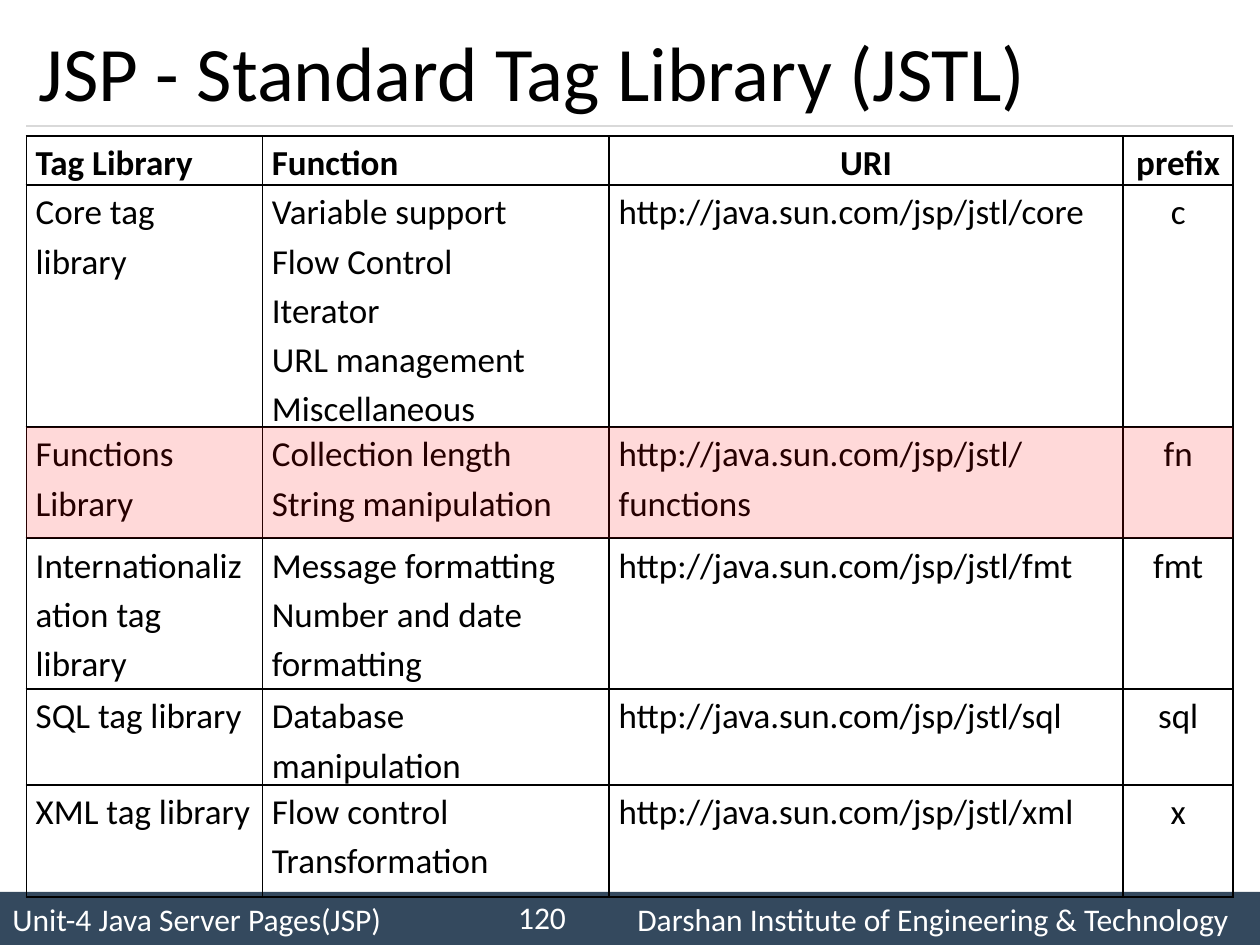
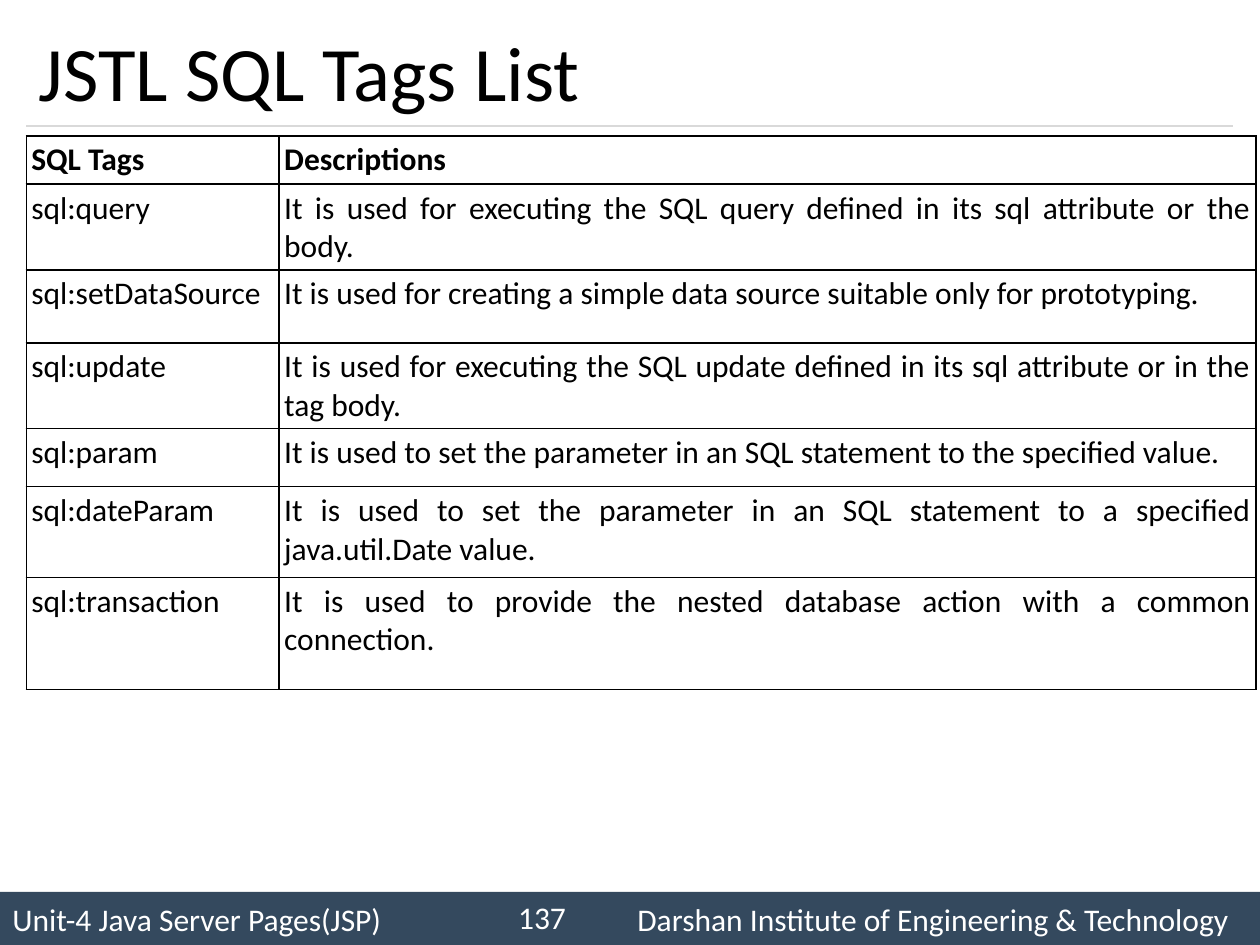
import dataclasses

import lxml.etree
import pptx
import pptx.dml.color
import pptx.enum.shapes
import pptx.enum.text
import pptx.oxml.ns
import pptx.util

Cm, Pt = pptx.util.Cm, pptx.util.Pt
RGB = pptx.dml.color.RGBColor.from_string
ALIGN = pptx.enum.text.PP_ALIGN
MIDDLE = pptx.enum.text.MSO_ANCHOR.MIDDLE
qn = pptx.oxml.ns.qn


@dataclasses.dataclass(frozen=True)
class Theme:
    font: str = "Calibri"
    ink: str = "000000"
    band: str = "34495E"
    band_text: str = "FFFFFF"
    rule: str = "D9D9D9"
    highlight: str = "FF0000"
    title_size: int = 44
    library_size: int = 20
    small_size: int = 18


THEME = Theme()

# Shared layout, in cm
LEFT, WIDTH = 0.53, 24.33
TABLE_TOP = 2.74
BAND_TOP, BAND_HEIGHT = 17.98, 1.07

LIBRARY_STYLE = {"columns": [4.76, 6.99, 10.36, 2.22], "margins": (0.19, 0),
                 "size": THEME.library_size, "spacing": 1.15}
SQL_STYLE = {"columns": [5.1, 19.69], "margins": (0.1, 0.1),
             "size": THEME.small_size, "spacing": 1}

# Rows: height in cm, then the cell texts
LIBRARY_ROWS = [
    (0.99, ["Tag Library", "Function", "URI", "prefix"]),
    (4.88, ["Core tag library",
            "Variable support\nFlow Control\nIterator\nURL management\nMiscellaneous",
            "http://java.sun.com/jsp/jstl/core", "c"]),
    (2.24, ["Functions Library", "Collection length\nString manipulation",
            "http://java.sun.com/jsp/jstl/functions", "fn"]),
    (3.04, ["Internationalization tag library",
            "Message formatting\nNumber and date formatting",
            "http://java.sun.com/jsp/jstl/fmt", "fmt"]),
    (1.93, ["SQL tag library", "Database manipulation",
            "http://java.sun.com/jsp/jstl/sql", "sql"]),
    (2.26, ["XML tag library", "Flow control\nTransformation",
            "http://java.sun.com/jsp/jstl/xml", "x"]),
]
SQL_ROWS = [
    (0.97, ["SQL Tags", "Descriptions"]),
    (1.73, ["sql:query", "It is used for executing the SQL query defined in its "
            "sql attribute or the body."]),
    (1.47, ["sql:setDataSource", "It is used for creating a simple data source "
            "suitable only for prototyping."]),
    (1.73, ["sql:update", "It is used for executing the SQL update defined in its "
            "sql attribute or in the tag body."]),
    (1.17, ["sql:param", "It is used to set the parameter in an SQL statement to "
            "the specified value."]),
    (1.83, ["sql:dateParam", "It is used to set the parameter in an SQL statement "
            "to a specified java.util.Date value."]),
    (2.26, ["sql:transaction", "It is used to provide the nested database action "
            "with a common connection."]),
]


def apply(obj, values):
    for name, value in values.items():
        setattr(obj, name, value)


def format_paragraph(p, size, color=THEME.ink, bold=False, **values):
    apply(p, values)
    apply(p.font, {"name": THEME.font, "size": Pt(size), "bold": bold})
    p.font.color.rgb = RGB(color)


def add_rect(s, left, top, width, height, color):
    sp = s.shapes.add_shape(pptx.enum.shapes.MSO_SHAPE.RECTANGLE,
                            Cm(left), Cm(top), Cm(width), Cm(height))
    sp.shadow.inherit = False
    sp.fill.solid()
    sp.fill.fore_color.rgb = RGB(color)
    sp.line.fill.background()
    return sp


def add_footer(s, number):
    # Unit name, then the institute at a tab stop
    tf = add_rect(s, 0, BAND_TOP, 25.4, BAND_HEIGHT, THEME.band).text_frame
    apply(tf, {"word_wrap": True, "vertical_anchor": MIDDLE})
    p = tf.paragraphs[0]
    p.text = "Unit-4 Java Server Pages(JSP)\tDarshan Institute of Engineering & Technology"
    tabs = lxml.etree.SubElement(p._p.get_or_add_pPr(), qn("a:tabLst"))
    lxml.etree.SubElement(tabs, qn("a:tab"), pos=str(Cm(12.6)), algn="l")
    format_paragraph(p, THEME.small_size, THEME.band_text, alignment=ALIGN.LEFT)

    # Slide number
    tf = s.shapes.add_textbox(Cm(9.96), Cm(BAND_TOP), Cm(1.7), Cm(1.02)).text_frame
    apply(tf, {"word_wrap": True, "vertical_anchor": MIDDLE})
    tf.text = str(number)
    format_paragraph(tf.paragraphs[0], THEME.small_size, THEME.band_text,
                     alignment=ALIGN.RIGHT)


def add_title_rule(s):
    line = s.shapes.add_connector(pptx.enum.shapes.MSO_CONNECTOR.STRAIGHT,
                                  Cm(LEFT), Cm(2.54), Cm(LEFT + WIDTH), Cm(2.54))
    line.line.color.rgb = RGB(THEME.rule)
    line.line.width = Pt(0.75)
    lxml.etree.SubElement(line._element.spPr, qn("a:effectLst"))


def add_content_slide(prs, title, number):
    s = prs.slides.add_slide(prs.slide_layouts[5])
    add_footer(s, number)
    add_title_rule(s)
    sp = s.shapes.title
    apply(sp, {"left": Cm(LEFT), "top": Cm(0.3), "width": Cm(WIDTH), "height": Cm(2.24)})
    tf = sp.text_frame
    tf.text = title
    apply(tf, {"word_wrap": True, "vertical_anchor": MIDDLE,
               "auto_size": pptx.enum.text.MSO_AUTO_SIZE.NONE})
    format_paragraph(tf.paragraphs[0], THEME.title_size, alignment=ALIGN.LEFT)
    return s


def add_borders(cell):
    tcPr = cell._tc.get_or_add_tcPr()
    for side in ("lnL", "lnR", "lnT", "lnB"):
        ln = lxml.etree.SubElement(tcPr, qn(f"a:{side}"), w=str(Pt(1)))
        fill = lxml.etree.SubElement(ln, qn("a:solidFill"))
        lxml.etree.SubElement(fill, qn("a:srgbClr"), val=THEME.ink)


def add_row_table(s, top, height, texts, aligns, style, bold):
    columns = style["columns"]
    table = s.shapes.add_table(1, len(columns), Cm(LEFT), Cm(top),
                               Cm(sum(columns)), Cm(height)).table
    apply(table, {"first_row": False, "horz_banding": False})
    side, edge = (Cm(m) for m in style["margins"])
    for column, width, cell, text, align in zip(
            table.columns, columns, table.rows[0].cells, texts, aligns):
        column.width = Cm(width)
        add_borders(cell)
        cell.fill.background()
        apply(cell, {"margin_left": side, "margin_right": side,
                     "margin_top": edge, "margin_bottom": edge})
        cell.text_frame.text = text
        for p in cell.text_frame.paragraphs:
            format_paragraph(p, style["size"], bold=bold, alignment=align,
                             line_spacing=style["spacing"])


def add_stacked_tables(s, rows, style, header_aligns, body_aligns):
    """Stack one-row tables and return the top of each."""
    tops, top = [], TABLE_TOP
    for i, (height, texts) in enumerate(rows):
        aligns = body_aligns if i else header_aligns
        add_row_table(s, top, height, texts, aligns, style, bold=i == 0)
        tops.append(top)
        top += height
    return tops


def add_highlight(s, top, height):
    sp = add_rect(s, LEFT, top, WIDTH, height, THEME.highlight)
    color = sp._element.spPr.find(qn("a:solidFill"))[0]
    lxml.etree.SubElement(color, qn("a:alpha"), val="15000")


def main():
    prs = pptx.Presentation()
    apply(prs, {"slide_width": Cm(25.4), "slide_height": Cm(19.05)})

    # Tag libraries, with the functions library highlighted
    s = add_content_slide(prs, "JSP - Standard Tag Library (JSTL)", 120)
    left, center = ALIGN.LEFT, ALIGN.CENTER
    tops = add_stacked_tables(s, LIBRARY_ROWS, LIBRARY_STYLE,
                              [left, left, center, center],
                              [left, left, left, center])
    add_highlight(s, tops[2], LIBRARY_ROWS[2][0])

    # SQL tags
    s = add_content_slide(prs, "JSTL SQL Tags List", 137)
    add_stacked_tables(s, SQL_ROWS, SQL_STYLE, [left] * 2, [ALIGN.JUSTIFY] * 2)

    prs.save("out.pptx")


if __name__ == "__main__":
    main()
